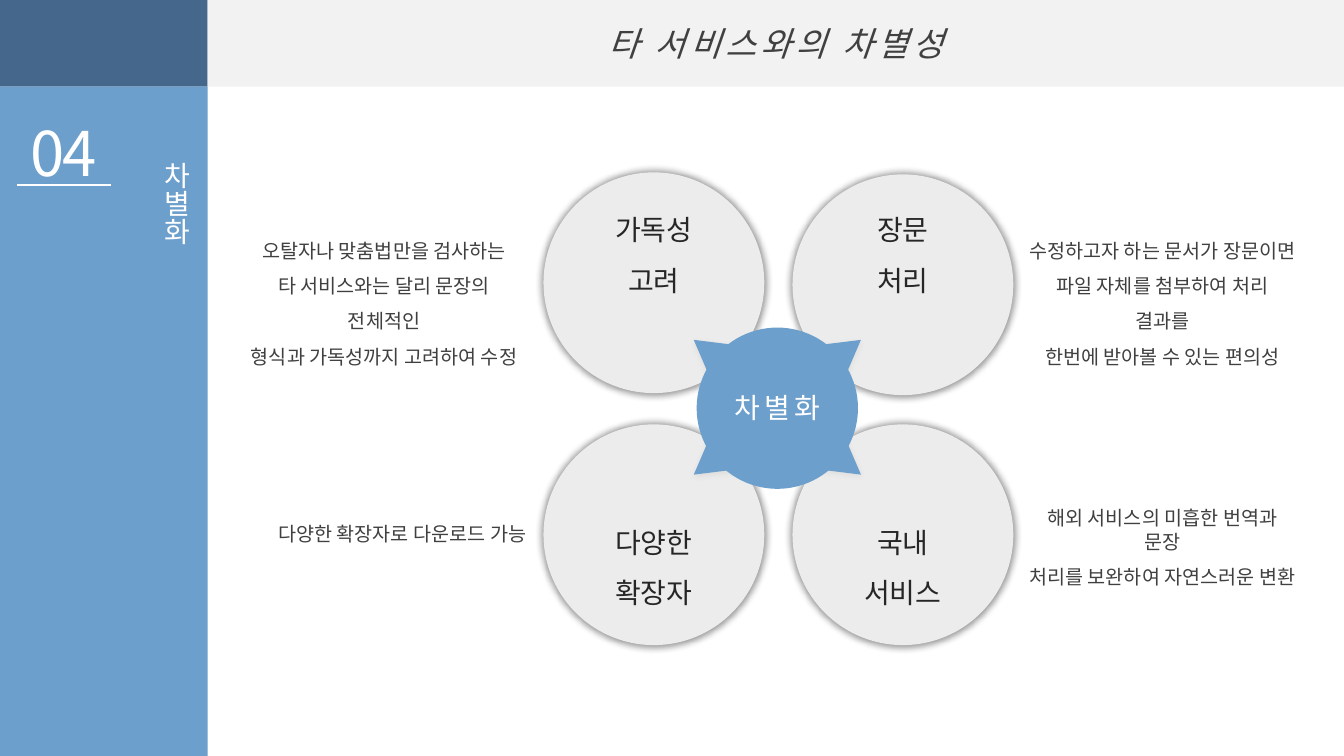
from dataclasses import dataclass

from lxml.etree import SubElement
from pptx import Presentation
from pptx.dml.color import RGBColor
from pptx.enum.shapes import MSO_CONNECTOR as Connector, MSO_SHAPE as Shape
from pptx.enum.text import MSO_AUTO_SIZE as AutoSize, PP_ALIGN as Align
from pptx.oxml.ns import qn
from pptx.util import Inches, Pt


@dataclass(frozen=True)
class Theme:
    font: str = "Noto Sans CJK KR"
    blue: str = "6C9FCC"
    navy: str = "46678C"
    band: str = "F2F2F2"
    disc: str = "ECECEC"
    white: str = "FFFFFF"
    ink: str = "262626"
    grey: str = "404040"
    number: int = 44
    title: int = 24
    label: int = 20
    body: int = 14


THEME = Theme()


def add_shape(slide, kind, box, fill, shadow=None, rotation=0):
    """Shadow is (opacity %, blur pt, distance pt, direction degrees, scale %)."""
    shape = slide.shapes.add_shape(kind, *map(Inches, box))
    shape.shadow.inherit = False
    shape.fill.solid()
    shape.fill.fore_color.rgb = RGBColor.from_string(fill)
    shape.line.fill.background()
    shape.rotation = rotation
    if shadow:
        opacity, blur, distance, direction, scale = shadow
        effects = shape._element.spPr.find(qn("a:effectLst"))
        outer = SubElement(effects, qn("a:outerShdw"), blurRad=str(Pt(blur)),
                           dist=str(Pt(distance)), dir=str(direction * 60000),
                           sx=str(scale * 1000), sy=str(scale * 1000),
                           algn="ctr", rotWithShape="0")
        color = SubElement(outer, qn("a:srgbClr"), val="000000")
        SubElement(color, qn("a:alpha"), val=str(opacity * 1000))
    return shape


def add_text(slide, box, lines, size, color, align=Align.CENTER, italic=False,
             spacing=0, wrap=False, margin=0.1, fill=None, vertical=False):
    text_box = slide.shapes.add_textbox(*map(Inches, box))
    if fill:
        text_box.fill.solid()
        text_box.fill.fore_color.rgb = RGBColor.from_string(fill)
    frame = text_box.text_frame
    frame.word_wrap = wrap
    frame.auto_size = AutoSize.SHAPE_TO_FIT_TEXT
    frame.margin_left = frame.margin_right = Inches(margin)
    if vertical:
        frame._txBody.bodyPr.set("vert", "eaVert")
    for index, line in enumerate(lines):
        paragraph = frame.add_paragraph() if index else frame.paragraphs[0]
        paragraph.alignment = align
        if index:
            paragraph.line_spacing = 1.5
        run = paragraph.add_run()
        run.text = line
        run.font.size = Pt(size)
        run.font.italic = italic
        run.font.color.rgb = RGBColor.from_string(color)
        run.font.name = THEME.font
        properties = run._r.get_or_add_rPr()
        SubElement(properties, qn("a:ea"), typeface=THEME.font)
        if spacing:
            properties.set("spc", str(int(spacing * 100)))
    return text_box


def add_header(slide, box, title):
    left, top, width, height = box
    add_shape(slide, Shape.RECTANGLE, box, THEME.band)
    add_text(slide, (left + 3.84, top + 0.18, 3.59, 0.5), [title],
             THEME.title, THEME.grey, italic=True, spacing=3)


def add_sidebar(slide, box, corner_height, number, section):
    left, top, width, height = box
    add_shape(slide, Shape.RECTANGLE, (left, top, width, corner_height), THEME.navy)
    add_shape(slide, Shape.RECTANGLE,
              (left, top + corner_height, width, height - corner_height), THEME.blue)
    add_text(slide, (left + 0.17, top + 1.09, 0.92, 0.84), [number],
             THEME.number, THEME.white, spacing=-1.5)
    # Rule under the section number
    rule_y = Inches(top + 1.84)
    rule = slide.shapes.add_connector(Connector.STRAIGHT, Inches(left + 0.17), rule_y,
                                      Inches(left + 1.1), rule_y)
    rule.line.color.rgb = RGBColor.from_string(THEME.white)
    rule.line.width = Pt(1.5)
    SubElement(rule._element.spPr, qn("a:effectLst"))
    add_text(slide, (left + 1.43, top + 1.51, 0.54, 1.03), [section],
             THEME.label, THEME.white, align=Align.LEFT, vertical=True)


def add_feature(slide, box, label, label_offset, label_width):
    left, top, width, height = box
    add_shape(slide, Shape.OVAL, box, THEME.disc, shadow=(40, 5, 0, 0, 102))
    add_text(slide, (left + (width - label_width) / 2, top + label_offset,
                     label_width, 0.89),
             label, THEME.label, THEME.ink, fill=THEME.disc)


def add_hub(slide, box, label):
    left, top, width, height = box
    center_x, center_y = left + width / 2, top + height / 2
    # Pointers towards the four features
    pointer_width, pointer_height, turn = 0.7, 0.61, 53.1
    pointers = [(-1, -1, 360 - turn), (1, -1, turn),
                (1, 1, 180 - turn), (-1, 1, 180 + turn)]
    for side_x, side_y, rotation in pointers:
        add_shape(slide, Shape.ISOSCELES_TRIANGLE,
                  (center_x + side_x * 0.585 - pointer_width / 2,
                   center_y - 0.01 + side_y * 0.485 - pointer_height / 2,
                   pointer_width, pointer_height),
                  THEME.blue, shadow=(5, 4.5, 1.5, 90, 100), rotation=rotation)
    add_shape(slide, Shape.OVAL, box, THEME.blue)
    add_text(slide, (center_x - 0.55, center_y - 0.22, 1.1, 0.44), [label],
             THEME.label, THEME.white, spacing=3)


def main():
    presentation = Presentation()
    presentation.slide_width = Inches(13.33)
    presentation.slide_height = Inches(7.5)
    slide = presentation.slides.add_slide(presentation.slide_layouts[6])

    # Frame
    sidebar_width, header_height = 2.06, 0.86
    add_sidebar(slide, (0, 0, sidebar_width, 7.5), header_height, "04", "차별화")
    add_header(slide, (sidebar_width, 0, 13.33 - sidebar_width, header_height),
               "타 서비스와의 차별성")

    # Features: left, top, label, label offset, label width
    diameter = 2.19
    features = [
        (7.86, 4.21, ["국내", "서비스"], 0.95, 0.97),
        (5.39, 4.21, ["다양한", "확장자"], 0.95, 0.97),
        (7.86, 1.73, ["장문", "처리"], 0.33, 0.71),
        (5.39, 1.71, ["가독성", "고려"], 0.35, 0.97),
    ]
    for left, top, label, offset, label_width in features:
        add_feature(slide, (left, top, diameter, diameter), label, offset, label_width)
    add_hub(slide, (6.91, 3.25, 1.6, 1.6), "차별화")

    # Descriptions beside the features
    descriptions = [
        ((2.27, 2.32, 3.08, 1.01),
         ["오탈자나 맞춤법만을 검사하는", "타 서비스와는 달리 문장의 전체적인",
          "형식과 가독성까지 고려하여 수정"]),
        ((10.08, 2.32, 2.9, 1.01),
         ["수정하고자 하는 문서가 장문이면", "파일 자체를 첨부하여 처리 결과를",
          "한번에 받아볼 수 있는 편의성"]),
        ((2.63, 5.13, 2.72, 0.34), ["다양한 확장자로 다운로드 가능"]),
        ((10.08, 4.97, 2.9, 0.66),
         ["해외 서비스의 미흡한 번역과 문장", "처리를 보완하여 자연스러운 변환"]),
    ]
    for box, lines in descriptions:
        add_text(slide, box, lines, THEME.body, THEME.grey, wrap=True, margin=0.12)

    presentation.save("out.pptx")


if __name__ == "__main__":
    main()
